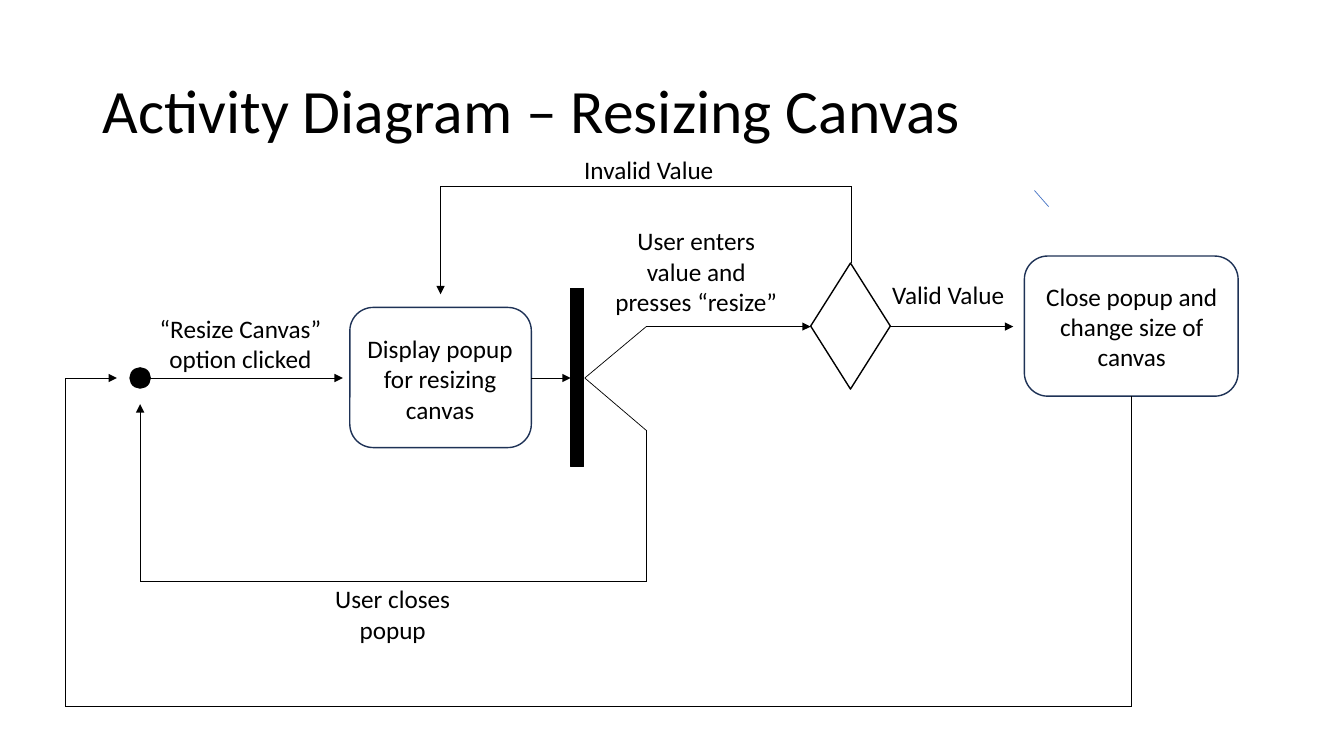
from itertools import pairwise

from lxml import etree
from pptx import Presentation
from pptx import util as u
from pptx.dml.color import RGBColor
from pptx.enum import shapes, text
from pptx.oxml import ns

BLACK, NAVY, BLUE = "000000", "1E3256", "4472C4"
KIND = shapes.MSO_SHAPE


def color(code):
    return RGBColor.from_string(code)


class Board:
    """Draws the parts of an activity diagram on one slide."""

    font = "Calibri"

    def __init__(self, slide):
        self.items = slide.shapes

    def label(self, words, x, y, w, h, size=18, align=text.PP_ALIGN.CENTER,
              anchor=text.MSO_ANCHOR.TOP, space=1.0):
        box = self.items.add_textbox(*map(u.Inches, (x, y, w, h)))
        frame = box.text_frame
        frame.word_wrap = True
        frame.vertical_anchor = anchor
        para = frame.paragraphs[0]
        para.text = words
        para.alignment = align
        para.line_spacing = space
        para.font.name = self.font
        para.font.size = u.Pt(size)
        para.font.color.rgb = color(BLACK)

    def node(self, kind, x, y, w, h, fill=None, line=BLACK):
        shape = self.items.add_shape(kind, *map(u.Inches, (x, y, w, h)))
        shape.shadow.inherit = False
        if fill:
            shape.fill.solid()
            shape.fill.fore_color.rgb = color(fill)
        else:
            shape.fill.background()
        shape.line.color.rgb = color(line)
        shape.line.width = u.Pt(1)

    def route(self, *points, arrow=True, line=BLACK):
        for start, end in pairwise(points):
            link = self.items.add_connector(
                shapes.MSO_CONNECTOR.STRAIGHT, *map(u.Inches, start + end))
            link.line.color.rgb = color(line)
            link.line.width = u.Pt(0.5)
            etree.SubElement(link._element.spPr, ns.qn("a:effectLst"))
        if arrow:
            tail = etree.SubElement(link.line._get_or_add_ln(), ns.qn("a:tailEnd"))
            tail.set("type", "triangle")


def main():
    deck = Presentation()
    deck.slide_width, deck.slide_height = u.Inches(13.33), u.Inches(7.5)
    board = Board(deck.slides.add_slide(deck.slide_layouts[6]))

    board.label("Activity Diagram – Resizing Canvas", 0.92, 0.4, 11.5, 1.45, 44,
                text.PP_ALIGN.LEFT, text.MSO_ANCHOR.MIDDLE, 0.9)

    board.node(KIND.OVAL, 1.29, 3.65, 0.2, 0.2, BLACK)
    board.node(KIND.ROUNDED_RECTANGLE, 3.47, 3.05, 1.8, 1.39, line=NAVY)
    board.node(KIND.RECTANGLE, 5.66, 2.86, 0.13, 1.77, BLACK)
    board.node(KIND.DIAMOND, 8.04, 2.61, 0.79, 1.25)
    board.node(KIND.ROUNDED_RECTANGLE, 10.16, 2.54, 2.12, 1.39, line=NAVY)

    mid, high = 3.75, 3.24
    fork = (5.8, mid)
    board.route((1.49, mid), (3.4, mid))
    board.route((5.27, mid), (5.66, mid))
    board.route(fork, (6.41, 4.27), (6.41, 5.77), (1.39, 5.77), (1.39, 4.01))
    board.route(fork, (6.41, high), (8.04, high))
    board.route((8.44, 2.61), (8.44, 1.85), (4.37, 1.85), (4.37, 2.92))
    board.route((8.83, high), (10.05, high))
    board.route((11.22, 3.93), (11.22, 7.01), (0.65, 7.01), (0.65, mid), (1.16, mid))
    board.route((10.26, 1.89), (10.4, 2.05), arrow=False, line=BLUE)

    for words, x, y, h in (
        ("“Resize Canvas” option clicked", 1.42, 3.06, 0.71),
        ("Display popup for resizing canvas", 3.4, 3.26, 1.01),
        ("User closes popup", 2.93, 5.74, 0.71),
        ("User enters value and presses “resize”", 5.94, 2.19, 1.01),
        ("Invalid Value", 5.47, 1.48, 0.4),
        ("Valid Value", 8.44, 2.72, 0.4),
        ("Close popup and change size of canvas", 10.26, 2.74, 1.01),
    ):
        board.label(words, x, y, 1.93, h)

    deck.save("out.pptx")


if __name__ == "__main__":
    main()
